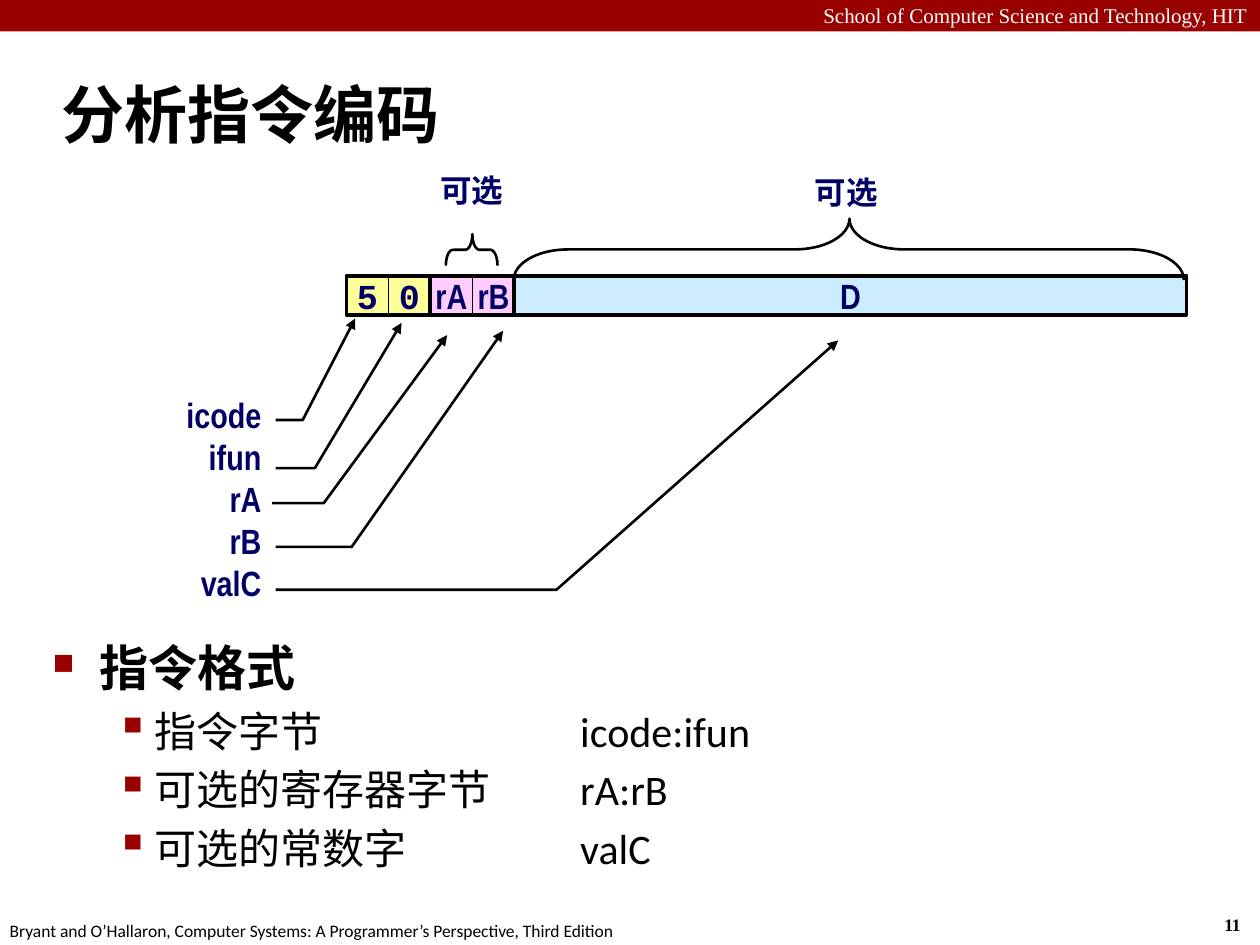
from dataclasses import dataclass

from lxml import etree
from pptx import Presentation
from pptx.dml.color import RGBColor
from pptx.enum import shapes, text
from pptx.oxml.ns import qn
from pptx.util import Pt

COLORS = {"black": "000000", "white": "FFFFFF", "red": "990000", "navy": "000066",
          "yellow": "FFFF99", "pink": "FFCCFF", "blue": "CCECFF"}
LEFT, CENTER, RIGHT = text.PP_ALIGN.LEFT, text.PP_ALIGN.CENTER, text.PP_ALIGN.RIGHT
MIDDLE = text.MSO_ANCHOR.MIDDLE
SHAPE = shapes.MSO_SHAPE

# Text styles
HEADER = dict(name="Times New Roman", size=Pt(12), bold=False, color="white")
NUMBER = dict(name="Times New Roman", size=Pt(10), bold=True, color="black")
FOOTER = dict(name="Calibri", size=Pt(10), bold=False, color="black")
TITLE = dict(name="Calibri", size=Pt(36), bold=True, color="black")
TOPIC = dict(TITLE, size=Pt(28))
ITEM = dict(TITLE, size=Pt(24), bold=False)
LABEL = dict(name="Arial Narrow", size=Pt(20), bold=True, color="navy")
CODE = dict(LABEL, name="Courier New")
OPTIONAL = dict(LABEL, size=Pt(18))

# Instruction bar
BAR_X, BAR_Y, BAR_H, CELL_W = 198, 157.5, 22.5, 24


@dataclass
class Byte:
    halves: tuple
    fill: str
    style: dict


@dataclass
class Field:
    name: str
    start: float
    bend: float
    y: float
    tip: tuple


@dataclass
class Brace:
    box: tuple
    adjustments: tuple
    label_box: tuple


@dataclass
class Bullet:
    words: str
    level: int
    style: dict
    margin: float
    hang: float
    char: str
    percent: int
    before: float


BYTES = [Byte(("5", "0"), "yellow", CODE), Byte(("rA", "rB"), "pink", LABEL)]
FIELDS = [
    Field("icode", 157.5, 173, 240, (203, 182)),
    Field("ifun", 157.5, 180, 267.5, (229.5, 184.5)),
    Field("rA", 155.5, 185, 287.5, (255.5, 191.5)),
    Field("rB", 157.5, 201, 312.5, (287.5, 189)),
    Field("valC", 157.5, 318, 337, (479, 194.5)),
]
BRACES = [
    Brace((260.5, 128, 18, 29.5), (0.222, 0.487), (247.5, 96.5, 44, 27)),
    Brace((467.5, -49, 35, 383), (0.889, 0.499), (461.5, 97.5, 44, 27)),
]
BULLETS = [Bullet("指令格式", 0, TOPIC, 27, 27, "■", 60, 0)] + [
    Bullet(words, 1, ITEM, 58.5, 22.5, "▪", 110, 4.8)
    for words in ("指令字节\ticode:ifun", "可选的寄存器字节\trA:rB", "可选的常数字\tvalC")]


def rgb(name: str) -> RGBColor:
    return RGBColor.from_string(COLORS[name])


def write(p, words: str, style: dict, align=LEFT) -> None:
    p.alignment = align
    r = p.add_run()
    r.text = words
    for key, value in style.items():
        if key == "color":
            r.font.color.rgb = rgb(value)
        else:
            setattr(r.font, key, value)


def add_label(s, box: tuple, words: str, style: dict, align=LEFT, wrap=True,
              inset=None, spacing=None) -> None:
    tf = s.shapes.add_textbox(*map(Pt, box)).text_frame
    tf.word_wrap = wrap
    if inset is not None:
        for side in ("left", "top", "right", "bottom"):
            setattr(tf, f"margin_{side}", Pt(inset))
    p = tf.paragraphs[0]
    p.line_spacing = spacing
    write(p, words, style, align)


def paint(sp, fill=None, line=None) -> None:
    sp.shadow.inherit = False
    if fill:
        sp.fill.solid()
        sp.fill.fore_color.rgb = rgb(fill)
    else:
        sp.fill.background()
    if line:
        sp.line.color.rgb = rgb("black")
        sp.line.width = Pt(line)
    else:
        sp.line.fill.background()


def add_box(parent, box: tuple, fill=None, line=None, words="", style=None) -> None:
    sp = parent.shapes.add_shape(SHAPE.RECTANGLE, *map(Pt, box))
    paint(sp, fill, line)
    if words:
        tf = sp.text_frame
        tf.word_wrap = False
        tf.vertical_anchor = MIDDLE
        write(tf.paragraphs[0], words, style, CENTER)


def add_byte(s, x: float, byte: Byte) -> None:
    group = s.shapes.add_group_shape()
    for i, half in enumerate(byte.halves):
        add_box(group, (x + i * CELL_W, BAR_Y, CELL_W, BAR_H), byte.fill, 0.5, half, byte.style)
    add_box(group, (x, BAR_Y, 2 * CELL_W, BAR_H), line=2.25)


def add_pointer(s, field: Field) -> None:
    builder = s.shapes.build_freeform(Pt(field.start), Pt(field.y))
    points = [(field.bend, field.y), field.tip]
    builder.add_line_segments([(Pt(x), Pt(y)) for x, y in points], close=False)
    sp = builder.convert_to_shape()
    paint(sp, line=1.5)
    etree.SubElement(sp.line._get_or_add_ln(), qn("a:tailEnd"), type="triangle")


def add_brace(s, brace: Brace) -> None:
    sp = s.shapes.add_shape(SHAPE.LEFT_BRACE, *map(Pt, brace.box))
    sp.rotation = 90
    for i, value in enumerate(brace.adjustments):
        sp.adjustments[i] = value
    paint(sp, line=1.5)
    add_label(s, brace.label_box, "可选", OPTIONAL, CENTER, False, 3.6, 0.9)


def add_bullet(p, bullet: Bullet) -> None:
    p.level = bullet.level
    p.space_before = Pt(bullet.before)
    pPr = p._p.get_or_add_pPr()
    pPr.set("marL", str(Pt(bullet.margin)))
    pPr.set("indent", str(-Pt(bullet.hang)))
    color = etree.SubElement(pPr, qn("a:buClr"))
    etree.SubElement(color, qn("a:srgbClr"), val=COLORS["red"])
    etree.SubElement(pPr, qn("a:buSzPct"), val=str(bullet.percent * 1000))
    etree.SubElement(pPr, qn("a:buChar"), char=bullet.char)
    tabs = etree.SubElement(pPr, qn("a:tabLst"))
    etree.SubElement(tabs, qn("a:tab"), pos=str(Pt(301.5)), algn="l")
    write(p, bullet.words, bullet.style)


def add_title(s, words: str) -> None:
    sp = s.shapes.title
    sp.left, sp.top, sp.width, sp.height = map(Pt, (28, 34.5, 692, 60))
    tf = sp.text_frame
    tf.auto_size = text.MSO_AUTO_SIZE.NONE
    tf.vertical_anchor = MIDDLE
    p = tf.paragraphs[0]
    pPr = p._p.get_or_add_pPr()
    pPr.set("marL", str(Pt(9)))
    pPr.set("indent", str(-Pt(9)))
    write(p, words, TITLE)


def main() -> None:
    prs = Presentation()
    prs.slide_width, prs.slide_height = Pt(720), Pt(540)
    s = prs.slides.add_slide(prs.slide_layouts[5])

    # Header, footer and title
    add_box(s, (0, 0, 720, 18), "red")
    add_label(s, (0, -2, 720, 22), "School of Computer Science and Technology, HIT", HEADER, RIGHT)
    add_label(s, (692.5, 519, 27, 19.5), "11", NUMBER, wrap=False)
    add_label(s, (-1.5, 522, 366, 19.5), "Bryant and O’Hallaron, Computer Systems: "
              "A Programmer’s Perspective, Third Edition", FOOTER, wrap=False)
    add_title(s, "分析指令编码")

    # Instruction format list
    tf = s.shapes.add_textbox(*map(Pt, (23, 361, 654, 147))).text_frame
    tf.word_wrap = True
    for i, bullet in enumerate(BULLETS):
        add_bullet(tf.add_paragraph() if i else tf.paragraphs[0], bullet)

    # Encoded instruction: two bytes and the constant word
    for i, byte in enumerate(BYTES):
        add_byte(s, BAR_X + i * 2 * CELL_W, byte)
    add_box(s, (BAR_X + 4 * CELL_W, BAR_Y, 16 * CELL_W, BAR_H), "blue", 2.25, "D", LABEL)

    # Field names and their pointers
    for i, field in enumerate(FIELDS):
        add_label(s, (78, 224 + i * 24, 75, 29), field.name, LABEL, RIGHT, True, 3.6, 0.9)
        add_pointer(s, field)

    # Optional parts
    for brace in BRACES:
        add_brace(s, brace)

    prs.save("out.pptx")


if __name__ == "__main__":
    main()
